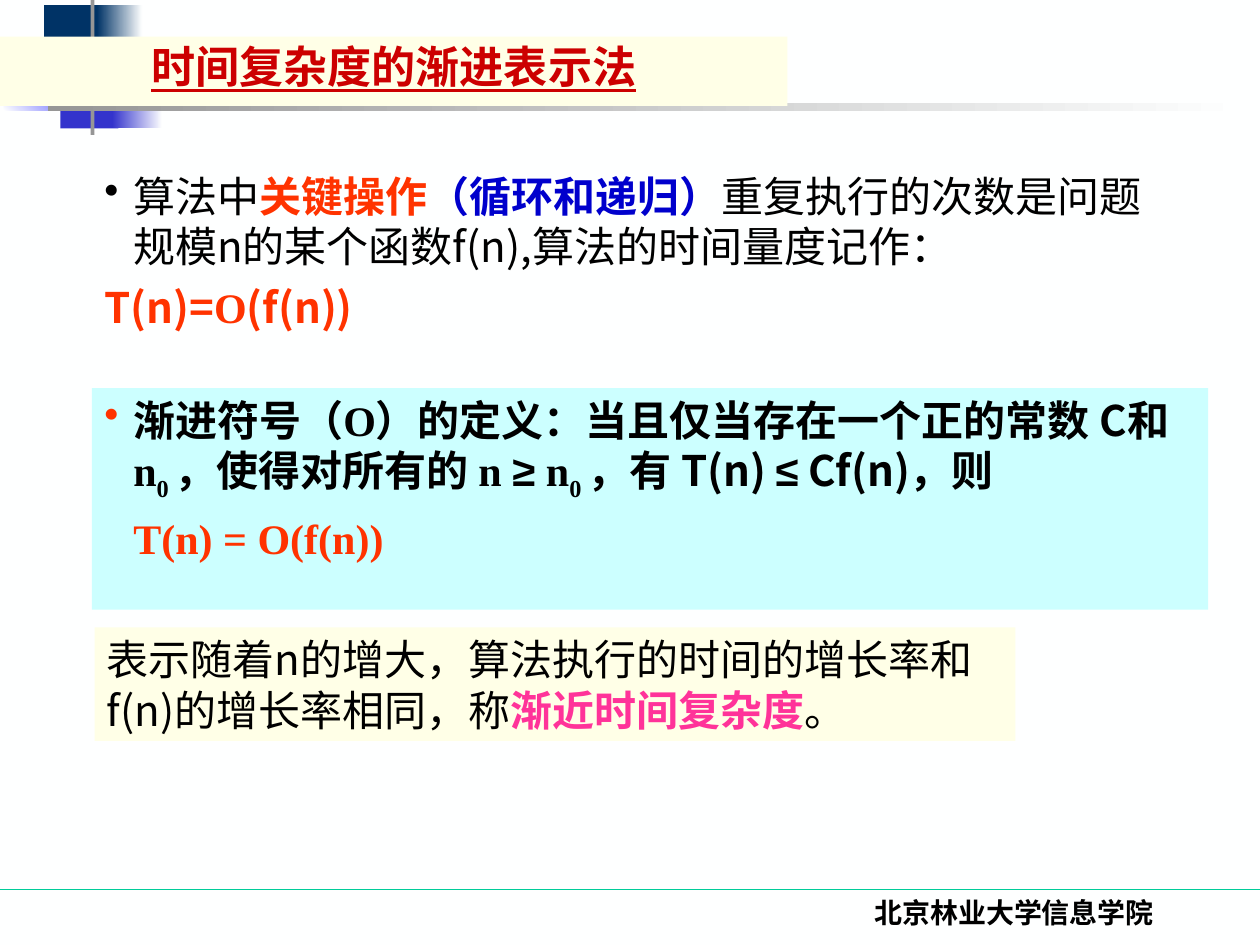
from dataclasses import dataclass

from lxml import etree
from pptx import Presentation
from pptx.dml.color import RGBColor
from pptx.enum.shapes import MSO_CONNECTOR, MSO_SHAPE
from pptx.enum.text import MSO_ANCHOR, PP_ALIGN
from pptx.oxml.ns import qn
from pptx.util import Inches, Pt

RECTANGLE = MSO_SHAPE.RECTANGLE
STRAIGHT = MSO_CONNECTOR.STRAIGHT
CENTER, LEFT = PP_ALIGN.CENTER, PP_ALIGN.LEFT
TOP, MIDDLE = MSO_ANCHOR.TOP, MSO_ANCHOR.MIDDLE

SANS, SERIF, SYMBOL = "Noto Sans CJK SC", "Times New Roman", "Arial"
BLACK = RGBColor(0x00, 0x00, 0x00)
PAPER = RGBColor(0xFE, 0xFF, 0xFF)
NAVY = RGBColor(0x00, 0x33, 0x66)
INDIGO = RGBColor(0x33, 0x33, 0xCC)
BLUE = RGBColor(0x00, 0x00, 0xFF)
DARK_BLUE = RGBColor(0x00, 0x00, 0xCC)
GRAY = RGBColor(0x96, 0x96, 0x96)
GREEN = RGBColor(0x00, 0xCC, 0x99)
CREAM = RGBColor(0xFF, 0xFF, 0xE7)
CYAN = RGBColor(0xCC, 0xFF, 0xFF)
RED = RGBColor(0xCC, 0x00, 0x00)
ORANGE = RGBColor(0xFF, 0x33, 0x00)
PINK = RGBColor(0xFF, 0x33, 0x99)
BULLET_INDENT = Inches(0.23)


@dataclass
class Block:
    """A plain or left-to-right shaded rectangle; position in inches."""
    left: float
    top: float
    width: float
    height: float
    color: RGBColor
    end_color: RGBColor | None = None
    angle: float = 0


@dataclass
class Span:
    text: str
    color: RGBColor = BLACK
    bold: bool = False
    font: str = SANS
    size: float = 24
    underline: bool = False
    subscript: bool = False


@dataclass
class Line:
    spans: list[Span]
    bullet: RGBColor | None = None
    indented: bool = False
    space_before: float = 0
    align: PP_ALIGN = LEFT
    spacing: float | None = None


DECORATION = [
    Block(0.35, 0.04, 0.48, 0.52, NAVY),
    Block(0.77, 0.04, 0.36, 0.52, NAVY, PAPER),
    Block(0.48, 0.5, 0.46, 0.52, INDIGO),
    Block(0.89, 0.5, 0.4, 0.52, INDIGO, PAPER),
    Block(0.03, 0.42, 0.61, 0.46, PAPER, BLUE, 45),
    Block(0.72, -0.08, 0.03, 1.15, GRAY),
    Block(0.38, 0.82, 9.51, 0.06, GRAY, PAPER),
]

FOOTER = [Line([Span("北京林业大学信息学院", bold=True, font=SERIF, size=16)], align=CENTER)]
TITLE = [Line([Span("时间复杂度的渐进表示法", RED, True, size=25.2, underline=True)],
              align=CENTER, spacing=0.8)]
KEY_OPERATION = [
    Line([Span("算法中"),
          Span("关键操作", ORANGE, True),
          Span("（循环和递归）", DARK_BLUE, True),
          Span("重复执行的次数是问题规模n的某个函数f(n),算法的时间量度记作：")],
         bullet=BLACK),
    Line([Span("T(n)=", ORANGE, True),
          Span("O", ORANGE, True, SERIF),
          Span("(f(n))", ORANGE, True)], space_before=6),
]
DEFINITION = [
    Line([Span("渐进符号（", bold=True),
          Span("O", bold=True, font=SERIF),
          Span("）的定义：当且仅当存在一个正的常数 C和", bold=True),
          Span("n", bold=True, font=SERIF),
          Span("0 ", bold=True, font=SERIF, subscript=True),
          Span("，使得对所有的 ", bold=True),
          Span("n ", bold=True, font=SERIF),
          Span("≥", bold=True, font=SYMBOL),
          Span(" n", bold=True, font=SERIF),
          Span("0 ", bold=True, font=SERIF, subscript=True),
          Span("，有 T(n) ", bold=True),
          Span("≤", bold=True, font=SYMBOL),
          Span(" Cf(n)，则", bold=True)], bullet=ORANGE),
    Line([Span("T(n) = O(f(n))", ORANGE, True, SERIF)], indented=True, space_before=6),
]
MEANING = [
    Line([Span("表示随着n的增大，算法执行的时间的增长率和f(n)的增长率相同，称"),
          Span("渐近时间复杂度", PINK, True),
          Span("。")]),
]


def add_block(slide, block: Block):
    shape = slide.shapes.add_shape(RECTANGLE, Inches(block.left), Inches(block.top),
                                   Inches(block.width), Inches(block.height))
    shape.shadow.inherit = False
    shape.line.fill.background()
    if block.end_color is None:
        shape.fill.solid()
        shape.fill.fore_color.rgb = block.color
    else:
        shape.fill.gradient()
        shape.fill.gradient_angle = block.angle
        for stop, color in zip(shape.fill.gradient_stops, (block.color, block.end_color)):
            stop.color.rgb = color
    return shape


def add_label(slide, left: float, top: float, width: float, height: float):
    return slide.shapes.add_textbox(Inches(left), Inches(top), Inches(width), Inches(height))


def add_bullet(properties, color: RGBColor) -> None:
    bullet_color = etree.SubElement(properties, qn("a:buClr"))
    etree.SubElement(bullet_color, qn("a:srgbClr"), val=str(color))
    etree.SubElement(properties, qn("a:buChar"), char="•")


def add_span(paragraph, span: Span) -> None:
    run = paragraph.add_run()
    run.text = span.text
    font = run.font
    font.name, font.size = span.font, Pt(span.size)
    font.bold, font.underline = span.bold, span.underline
    font.color.rgb = span.color
    properties = run._r.get_or_add_rPr()
    etree.SubElement(properties, qn("a:ea"), typeface=SANS)
    if span.subscript:
        properties.set("baseline", "-25000")


def write_lines(shape, lines: list[Line], anchor: MSO_ANCHOR = TOP) -> None:
    frame = shape.text_frame
    frame.word_wrap = True
    frame.vertical_anchor = anchor
    for index, line in enumerate(lines):
        paragraph = frame.add_paragraph() if index else frame.paragraphs[0]
        paragraph.alignment = line.align
        paragraph.space_before = Pt(line.space_before)
        if line.spacing:
            paragraph.line_spacing = line.spacing
        properties = paragraph._p.get_or_add_pPr()
        if line.bullet is not None or line.indented:
            properties.set("marL", str(BULLET_INDENT))
        if line.bullet is not None:
            properties.set("indent", str(-BULLET_INDENT))
            add_bullet(properties, line.bullet)
        for span in line.spans:
            add_span(paragraph, span)


def add_footer_rule(slide) -> None:
    rule = slide.shapes.add_connector(STRAIGHT, 0, Inches(7.06), Inches(10), Inches(7.06))
    rule.line.color.rgb = GREEN
    rule.line.width = Pt(0.75)
    etree.SubElement(rule._element.spPr, qn("a:effectLst"))


def main() -> None:
    presentation = Presentation()
    presentation.slide_width, presentation.slide_height = Inches(10), Inches(7.5)
    slide = presentation.slides.add_slide(presentation.slide_layouts[6])
    slide.background.fill.solid()
    slide.background.fill.fore_color.rgb = PAPER

    add_footer_rule(slide)
    for block in DECORATION:
        add_block(slide, block)
    write_lines(add_label(slide, 5.98, 7.06, 4.14, 0.5), FOOTER)
    write_lines(add_label(slide, 0.73, 1.3, 8.51, 1.99), KEY_OPERATION)
    write_lines(add_block(slide, Block(0, 0.29, 6.25, 0.55, CREAM)), TITLE, MIDDLE)
    write_lines(add_block(slide, Block(0.73, 3.08, 8.86, 1.76, CYAN)), DEFINITION)
    write_lines(add_block(slide, Block(0.75, 4.98, 7.31, 0.9, CREAM)), MEANING)
    presentation.save("out.pptx")


if __name__ == "__main__":
    main()
